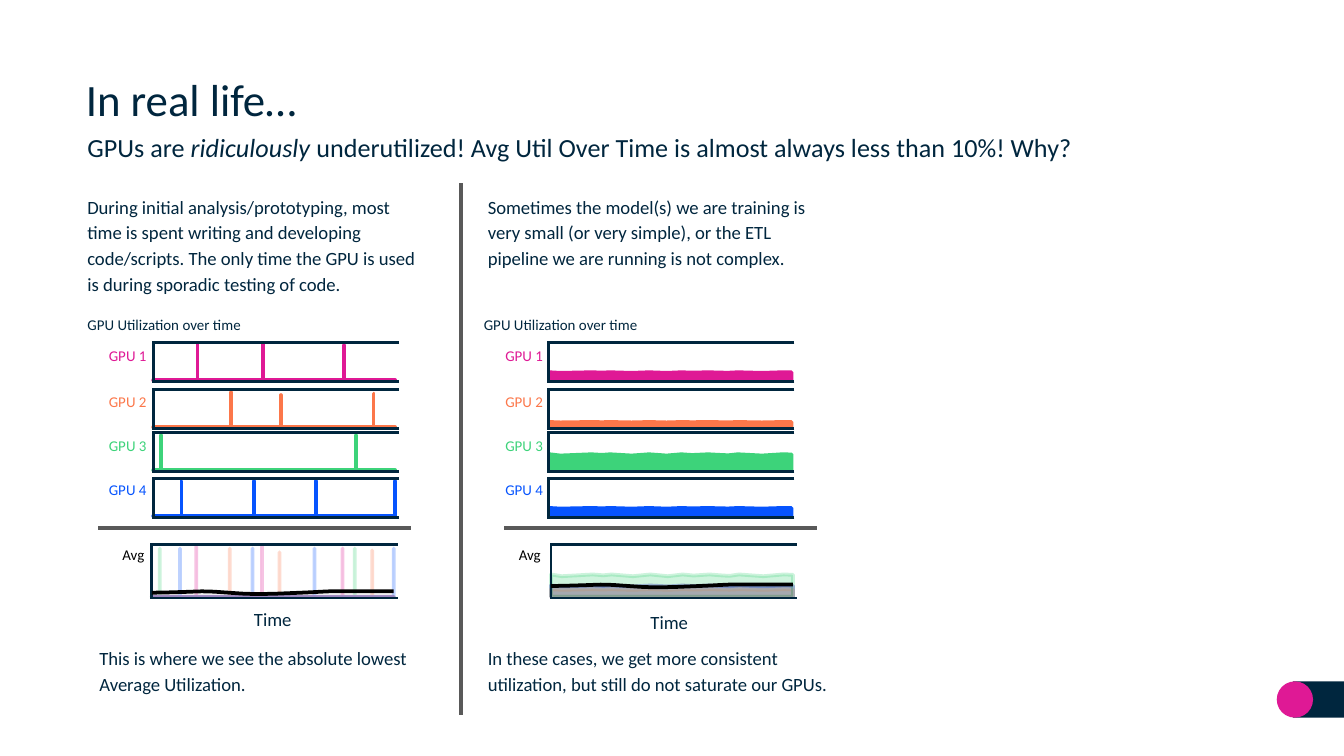
from dataclasses import dataclass
from typing import NamedTuple

from lxml import etree
from pptx import Presentation
from pptx.dml.color import RGBColor
from pptx.enum.shapes import MSO_CONNECTOR, MSO_SHAPE
from pptx.enum.text import MSO_ANCHOR, MSO_AUTO_SIZE
from pptx.oxml.ns import qn
from pptx.util import Inches, Pt

STRAIGHT = MSO_CONNECTOR.STRAIGHT
RECT, OVAL = MSO_SHAPE.RECTANGLE, MSO_SHAPE.OVAL
MIDDLE, TOP = MSO_ANCHOR.MIDDLE, MSO_ANCHOR.TOP
GROW, FIXED = MSO_AUTO_SIZE.SHAPE_TO_FIT_TEXT, MSO_AUTO_SIZE.NONE


@dataclass(frozen=True)
class Theme:
    font: str = "Calibri"
    navy: str = "00263E"
    pink: str = "DF1995"
    orange: str = "FC774A"
    green: str = "3DD37A"
    blue: str = "0654FE"
    gray: str = "595959"
    black: str = "000000"
    title: float = 24
    lead: float = 14
    body: float = 10
    label: float = 8
    axis: float = 1.5
    trace: float = 2
    rule: float = 2.25


class Track(NamedTuple):
    name: str
    color: str
    top: float
    text_top: float
    spikes: tuple  # (distance from the axis, height)
    level: float   # height of the steady load


class Panel(NamedTuple):
    left: float     # axis of the GPU tracks
    avg_left: float  # axis of the average plot
    steady: bool
    order: tuple    # stacking in the average plot
    mean: float     # top of the average line
    rule: float
    time: tuple
    intro: tuple
    close: tuple


T = Theme()
TRACKS = (
    Track("GPU 1", T.pink, 2.55, 2.55, ((0.33, 0.27), (0.82, 0.27), (1.42, 0.26)), 0.06),
    Track("GPU 2", T.orange, 2.90, 2.89, ((0.58, 0.26), (0.95, 0.24), (1.64, 0.25)), 0.04),
    Track("GPU 3", T.green, 3.22, 3.22, ((0.06, 0.26), (1.51, 0.26)), 0.12),
    Track("GPU 4", T.blue, 3.56, 3.55,
          ((0.21, 0.26), (0.75, 0.26), (1.21, 0.26), (1.80, 0.26)), 0.06),
)
PANELS = (
    Panel(1.14, 1.13, False, (2, 1, 0, 3), 4.40, 0.73, (1.88, 4.49),
          (0.64, 1.42, 2.46, 0.79,
           "During initial analysis/prototyping, most time is spent writing and developing "
           "code/scripts. The only time the GPU is used is during sporadic testing of code."),
          (0.73, 4.78, 2.33, 0.41,
           "This is where we see the absolute lowest Average Utilization.")),
    Panel(4.08, 4.10, True, (0, 3, 1, 2), 4.35, 3.75, (4.83, 4.51),
          (3.62, 1.42, 2.46, 0.60,
           "Sometimes the model(s) we are training is very small (or very simple), "
           "or the ETL pipeline we are running is not complex."),
          (3.62, 4.78, 2.60, 0.41,
           "In these cases, we get more consistent utilization, "
           "but still do not saturate our GPUs.")),
)
STEP = 2.95                # distance between the panels
SPAN, WIDE = 1.80, 1.83    # data width, frame width
HIGH, AVG_HIGH = 0.29, 0.40
AVG_TOP, AVG_SCALE, FADE = 4.05, 1.38, 25
WAVE = ((0, 0), (0.08, 1), (0.31, 0), (0.39, 0.5), (0.45, 0), (0.61, 1), (0.74, 0),
        (0.87, 1), (0.98, 0), (1.06, 0.6), (1.18, 0), (1.28, 0.6), (1.33, 0.8),
        (1.40, 0), (1.58, 1), (1.73, 0), (SPAN, 0.2))
DIP = 0.08                 # depth of the wave, as part of its height
CURVE = (((0, 0.01), (0.12, 0.01), (0.37, 0), (0.37, 0)),
         ((0.37, 0), (0.50, 0), (0.63, 0.02), (0.79, 0.02)),
         ((0.79, 0.02), (0.95, 0.02), (1.32, 0), (1.32, 0)))

# Wide page, 16 to 9
deck = Presentation()
deck.slide_width, deck.slide_height = Inches(10), Inches(10 * 9 / 16)
slide = deck.slides.add_slide(deck.slide_layouts[6])
shapes = slide.shapes


def paint(fill, color: str, alpha: int = 100) -> None:
    fill.solid()
    fill.fore_color.rgb = RGBColor.from_string(color)
    if alpha < 100:
        for tone in fill._xPr.iter(qn("a:srgbClr")):
            etree.SubElement(tone, qn("a:alpha"), val=str(alpha * 1000))


def write(left: float, top: float, width: float, height: float, parts, size: float,
          color: str = T.navy, inset: float = 0.01, **extra) -> None:
    box = shapes.add_textbox(*map(Inches, (left, top, width, height)))
    frame = box.text_frame
    form = {"word_wrap": True, "auto_size": GROW, "vertical_anchor": TOP}
    form |= {f"margin_{side}": Inches(inset) for side in ("left", "right", "top", "bottom")}
    for key, value in (form | extra).items():
        setattr(frame, key, value)
    para = frame.paragraphs[0]
    para.line_spacing = 1.0 if size == T.title else 1.15
    for text, slant in [(parts, False)] if isinstance(parts, str) else parts:
        run = para.add_run()
        run.text = text
        for key, value in {"name": T.font, "size": Pt(size), "italic": slant}.items():
            setattr(run.font, key, value)
        run.font.color.rgb = RGBColor.from_string(color)


def rule(x1: float, y1: float, x2: float, y2: float, color: str, width: float) -> None:
    line = shapes.add_connector(STRAIGHT, *map(Inches, (x1, y1, x2, y2)))
    line.line.width = Pt(width)
    paint(line.line.fill, color)
    etree.SubElement(line._element.spPr, qn("a:effectLst"))


def trace(points: list, color: str, alpha: int = 100, closed: bool = True) -> None:
    spots = [(Inches(x), Inches(y)) for x, y in points]
    pen = shapes.build_freeform(*spots[0], scale=1.0)
    pen.add_line_segments(spots[1:], close=closed)
    form = pen.convert_to_shape()
    form.shadow.inherit = False
    if closed:
        paint(form.fill, color, alpha)
    else:
        form.fill.background()
    form.line.width = Pt(T.trace)
    paint(form.line.fill, color, alpha)
    etree.SubElement(form.line._get_or_add_ln(), qn("a:round"))


def plot(track: Track, left: float, base: float, steady: bool,
         scale: float = 1, alpha: int = 100) -> None:
    points = [(left, base)]
    if steady:
        level = track.level * scale
        points += [(left + x, base - level * (1 - DIP * dip)) for x, dip in WAVE]
    else:
        for x, high in track.spikes:
            points += [(left + x, base), (left + x, base - high * scale), (left + x, base)]
    points.append((left + SPAN, base))
    trace(points, track.color, alpha)


def frame_plot(left: float, top: float, high: float) -> None:
    rule(left, top, left, top + high, T.navy, T.axis)
    for y in (top + high, top):
        rule(left + WIDE, y, left - 0.01, y, T.navy, T.axis)


def bend(curve: tuple, left: float, top: float, steps: int = 8) -> list:
    points = []
    for a, b, c, d in curve:
        for t in (i / steps for i in range(steps + 1)):
            u = 1 - t
            x, y = (u**3 * a[k] + 3 * u * u * t * b[k] + 3 * u * t * t * c[k] + t**3 * d[k]
                    for k in (0, 1))
            points.append((left + x, top + y))
    return points + [(left + SPAN, top)]


# Corner mark
for kind, left, width, color in ((RECT, 9.62, 0.39, T.navy), (OVAL, 9.5, 0.27, T.pink)):
    mark = shapes.add_shape(kind, *map(Inches, (left, 5.07, width, 0.27)))
    mark.shadow.inherit = False
    paint(mark.fill, color)
    mark.line.fill.background()

# Heading
write(0.54, 0.46, 8.95, 0.55, "In real life…", T.title, inset=0.1,
      vertical_anchor=MIDDLE, auto_size=FIXED)
write(0.64, 0.93, 7.43, 0.29,
      [("GPUs are ", False), ("ridiculously", True),
       (" underutilized! Avg Util Over Time is almost always less than 10%! Why?", False)],
      T.lead)
rule(3.43, 5.32, 3.43, 1.36, T.gray, T.rule)

# Panels
for index, panel in enumerate(PANELS):
    shift = index * STEP
    write(*panel.intro, T.body)
    write(0.64 + shift, 2.32, 1.65, 0.18, "GPU Utilization over time", T.label)

    # One plot for each GPU
    for track in TRACKS:
        plot(track, panel.left + 0.01 * panel.steady, track.top + HIGH - 0.01, panel.steady)
        frame_plot(panel.left, track.top, HIGH)
        write(0.80 + shift, track.text_top, 0.41, 0.18, track.name, T.label, track.color)
    rule(panel.rule, 3.93, panel.rule + 2.33, 3.93, T.gray, T.rule)

    # Average of all GPUs
    for spot in panel.order:
        plot(TRACKS[spot], panel.avg_left, AVG_TOP + AVG_HIGH - 0.01,
             panel.steady, AVG_SCALE, FADE)
    frame_plot(panel.avg_left, AVG_TOP, AVG_HIGH)
    trace(bend(CURVE, panel.avg_left, panel.mean), T.black, closed=False)
    write(0.90 + shift, 4.03, 0.29, 0.18, "Avg", T.label, T.black)
    write(*panel.time, 0.41, 0.21, "Time", T.body)
    write(*panel.close, T.body)

deck.save("out.pptx")
